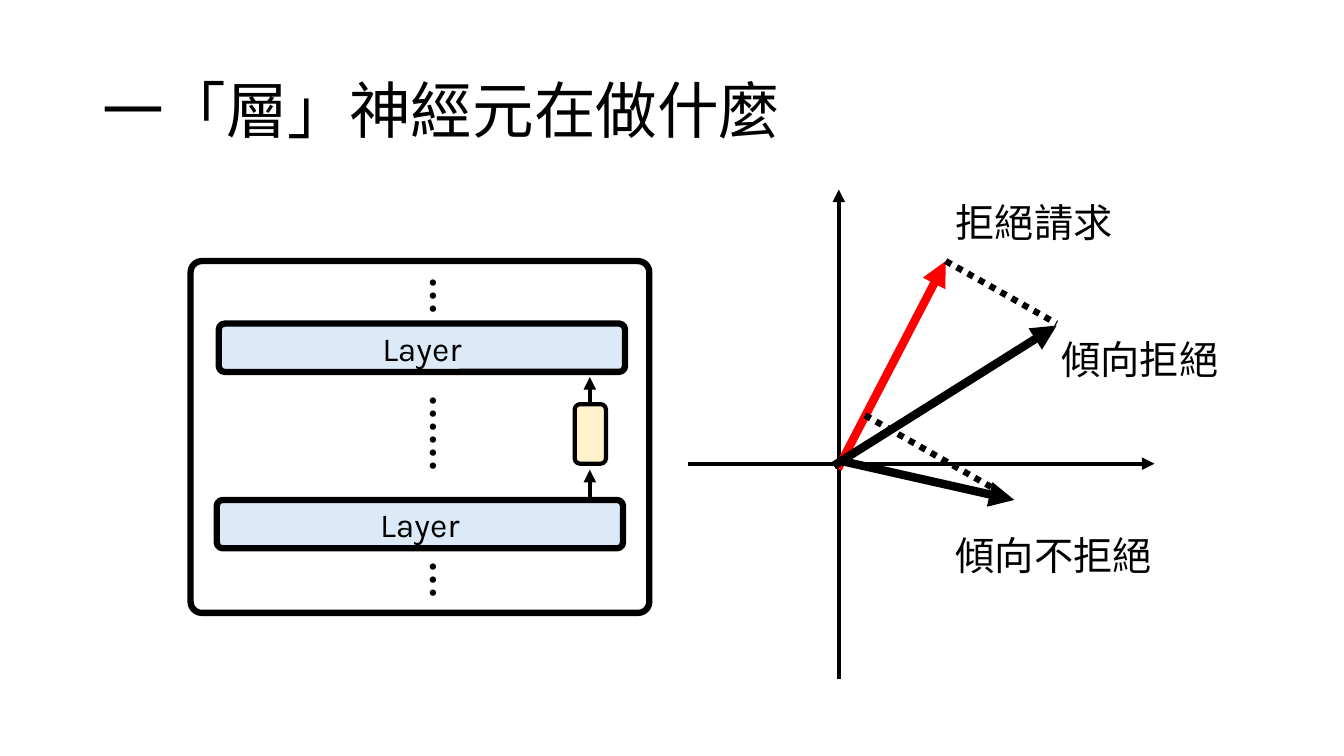
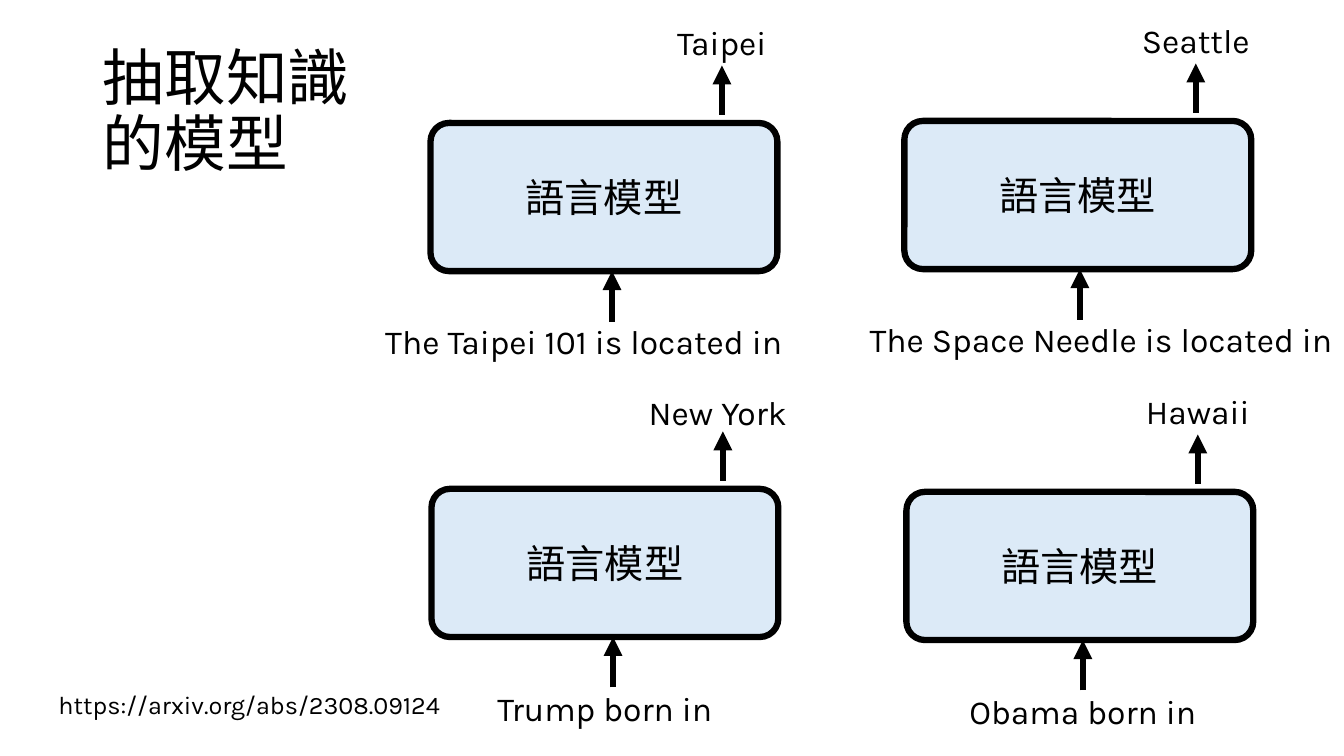
from dataclasses import dataclass
from typing import NamedTuple

from lxml import etree
from pptx import Presentation
from pptx.dml.color import RGBColor
from pptx.enum.dml import MSO_LINE
from pptx.enum.shapes import MSO_CONNECTOR, MSO_SHAPE
from pptx.enum.text import MSO_ANCHOR, MSO_AUTO_SIZE, PP_ALIGN
from pptx.oxml.ns import qn
from pptx.util import Pt

LEFT, CENTER = PP_ALIGN.LEFT, PP_ALIGN.CENTER
MIDDLE = MSO_ANCHOR.MIDDLE
NO_FIT, GROW = MSO_AUTO_SIZE.NONE, MSO_AUTO_SIZE.SHAPE_TO_FIT_TEXT
ROUNDED, STRAIGHT = MSO_SHAPE.ROUNDED_RECTANGLE, MSO_CONNECTOR.STRAIGHT
DOTTED = MSO_LINE.ROUND_DOT
PX = 9144


@dataclass(frozen=True)
class Theme:
    ink: str = "000000"
    red: str = "FF0000"
    blue: str = "DCEAF7"
    cream: str = "FFF2CC"
    latin: str = "Karla"
    cjk: str = "Noto Sans CJK SC"
    title: int = 44
    label: int = 28
    body: int = 24
    link: int = 18
    thin: float = 3
    medium: float = 4.5
    thick: float = 6


T = Theme()


class Model(NamedTuple):
    x: int
    y: int
    prompt: str
    prompt_dx: int
    prompt_dy: int
    prompt_w: int
    input_dx: int
    answer: str
    answer_dx: int
    answer_dy: int


MODELS = [
    Model(427, 122, "The Taipei 101 is located in", 152, 191, 410, 180, "Taipei", 289, -105),
    Model(897, 120, "The Space Needle is located in", 195, 191, 470, 174, "Seattle", 289, -105),
    Model(428, 485, "Trump born in", 172, 193, 230, 180, "New York", 284, -101),
    Model(899, 488, "Obama born in", 175, 193, 240, 175, "Hawaii", 289, -105),
]


def px(*values):
    return [v * PX for v in values]


def write(tf, text, size, font, align=CENTER, bold=False):
    p = tf.paragraphs[0]
    p.text = text
    p.alignment = align
    p.font.size = Pt(size)
    p.font.bold = bold
    p.font.color.rgb = RGBColor.from_string(T.ink)
    p.font.name = font
    latin = p._p.pPr.find(qn("a:defRPr")).find(qn("a:latin"))
    ea = etree.Element(qn("a:ea"), typeface=font)
    latin.addnext(ea)
    return p


def add_title(s, text, width):
    title = s.shapes.title
    title.left, title.top, title.width, title.height = px(92, 40, width, 145)
    tf = title.text_frame
    tf.word_wrap, tf.auto_size, tf.vertical_anchor = True, NO_FIT, MIDDLE
    write(tf, text, T.title, T.cjk, LEFT).line_spacing = 0.9


def add_text(s, x, y, w, h, text, size, font, align=CENTER, bold=False, turn=0):
    box = s.shapes.add_textbox(*px(x, y, w, h))
    box.rotation = turn
    tf = box.text_frame
    tf.word_wrap, tf.auto_size = True, GROW
    tf.margin_left = tf.margin_right = 0
    write(tf, text, size, font, align, bold)


def add_box(s, x, y, w, h, radius, fill=None, line=T.medium):
    sp = s.shapes.add_shape(ROUNDED, *px(x, y, w, h))
    sp.shadow.inherit = False
    sp.adjustments[0] = radius
    if fill:
        sp.fill.solid()
        sp.fill.fore_color.rgb = RGBColor.from_string(fill)
    else:
        sp.fill.background()
    sp.line.color.rgb = RGBColor.from_string(T.ink)
    sp.line.width = Pt(line)
    return sp


def add_block(s, x, y, w, h, text, size, font):
    tf = add_box(s, x, y, w, h, 0.125, T.blue).text_frame
    tf.word_wrap, tf.vertical_anchor = True, MIDDLE
    write(tf, text, size, font)


def add_line(s, x1, y1, x2, y2, width, color=T.ink, dash=None):
    c = s.shapes.add_connector(STRAIGHT, *px(x1, y1, x2, y2))
    c.line.color.rgb = RGBColor.from_string(color)
    c.line.width = Pt(width)
    if dash:
        c.line.dash_style = dash
    sp_pr = c._element.spPr
    etree.SubElement(sp_pr, qn("a:effectLst"))
    return sp_pr.find(qn("a:ln"))


def add_arrow(s, x1, y1, x2, y2, width, color=T.ink):
    ln = add_line(s, x1, y1, x2, y2, width, color)
    etree.SubElement(ln, qn("a:tailEnd"), type="triangle")


def draw_network(s, x, y, w, h):
    add_box(s, x, y, w, h, 0.032)
    for dx, dy in ((26, 237), (28, 62)):
        add_block(s, x + dx, y + dy, 403, 48, "Layer", T.body, T.latin)
    for dy in (145, 237):
        add_arrow(s, x + 396, y + dy, x + 396, y + dy - 30, T.thin)
    add_box(s, x + 381, y + 142, 31, 59, 0.17, T.cream, T.thin)
    for center, width, dots in ((35, 83, "…"), (317, 83, "…"), (172, 122, "……")):
        add_text(s, x + 241 - width // 2, y + center - 29, width, 57,
                 dots, T.label, T.cjk, bold=True, turn=90)


def draw_plane(s, x, y, w, h):
    axis_x, axis_y = x + 150, y + 272
    refusal, leaning, opposed = (x + 256, y + 71), (x + 366, y + 135), (x + 324, y + 308)
    add_arrow(s, x, axis_y, x + w, axis_y, T.thin)
    add_arrow(s, axis_x, y + h, axis_x, y, T.thin)
    add_arrow(s, axis_x - 1, axis_y + 5, *refusal, T.thick, T.red)
    add_arrow(s, axis_x - 5, axis_y + 2, *leaning, T.thick)
    add_arrow(s, axis_x + 1, axis_y - 3, *opposed, T.thick)
    add_line(s, *refusal, x + 366, y + 133, T.medium, dash=DOTTED)
    add_line(s, x + 176, y + 224, x + 306, y + 298, T.medium, dash=DOTTED)
    for dx, dy, text in ((266, 4, "拒絕請求"), (371, 140, "傾向拒絕"), (266, 334, "傾向不拒絕")):
        add_text(s, x + dx, y + dy, 210, 57, text, T.label, T.cjk, LEFT)


def draw_model(s, m, w=344, h=147):
    x, y = m.x, m.y
    add_block(s, x, y, w, h, "語言模型", T.label, T.cjk)
    add_text(s, x + m.answer_dx - 80, y + m.answer_dy, 160, 50, m.answer, T.body, T.latin)
    add_text(s, x + m.prompt_dx - m.prompt_w // 2, y + m.prompt_dy, m.prompt_w, 50,
             m.prompt, T.body, T.latin)
    add_arrow(s, x + m.input_dx, y + h + 50, x + m.input_dx, y + h, T.medium)
    add_arrow(s, x + 289, y - 8, x + 289, y - 57, T.medium)


def build_layer_slide(s):
    add_title(s, "一「層」神經元在做什麼", 1150)
    draw_network(s, 189, 259, 455, 349)
    draw_plane(s, 682, 188, 463, 486)


def build_knowledge_slide(s):
    add_title(s, "抽取知識的模型", 323)
    for m in MODELS:
        draw_model(s, m)
    add_text(s, 58, 679, 400, 40, "https://arxiv.org/abs/2308.09124", T.link, T.latin, LEFT)


def main():
    prs = Presentation()
    prs.slide_width, prs.slide_height = px(1333, 750)
    for build in (build_layer_slide, build_knowledge_slide):
        build(prs.slides.add_slide(prs.slide_layouts[5]))
    prs.save("out.pptx")


if __name__ == "__main__":
    main()
